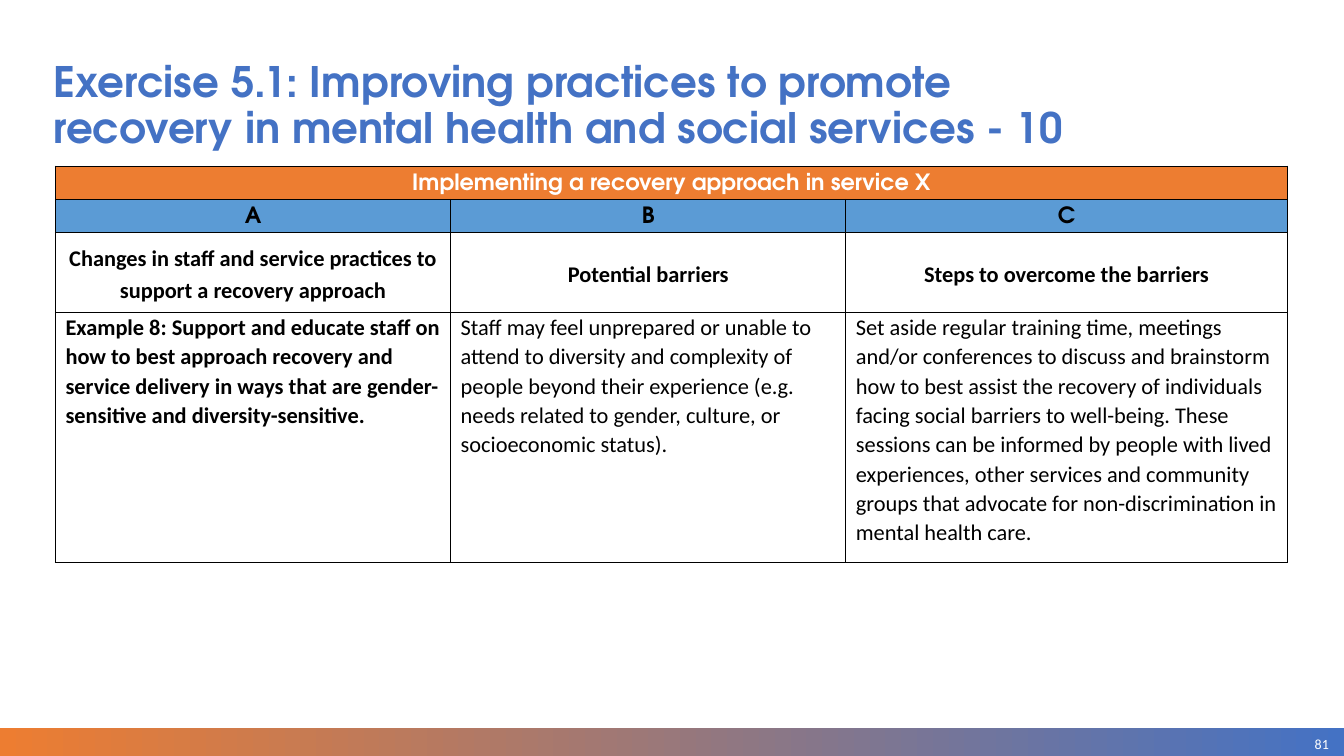
import pptx
import pptx.dml.color
import pptx.enum.shapes
import pptx.enum.text
import pptx.oxml
import pptx.oxml.ns
import pptx.util
from pptx.util import Inches


class Theme:
    orange = "ED7D31"
    blue = "4472C4"
    light_blue = "5B9BD5"
    white = "FFFFFF"
    black = "000000"
    heading_font = "TeX Gyre Adventor"
    body_font = "Calibri"
    title_size = 30
    table_size = 16
    number_size = 10


Align = pptx.enum.text.PP_ALIGN
Anchor = pptx.enum.text.MSO_ANCHOR


def rgb(value):
    return pptx.dml.color.RGBColor.from_string(value)


def write_text(frame, text, size=Theme.table_size, font=Theme.body_font, color=Theme.black,
               bold=False, align=Align.LEFT, spacing=1.0):
    frame.word_wrap = True
    paragraph = frame.paragraphs[0]
    paragraph.alignment = align
    paragraph.line_spacing = spacing
    paragraph.space_before = pptx.util.Pt(0)
    run = paragraph.add_run()
    run.text = text
    run.font.size = pptx.util.Pt(size)
    run.font.name = font
    run.font.bold = bold
    run.font.color.rgb = rgb(color)


presentation = pptx.Presentation()
presentation.slide_width = Inches(13.33)
presentation.slide_height = Inches(7.5)
slide = presentation.slides.add_slide(presentation.slide_layouts[5])

# Footer band
band = slide.shapes.add_shape(pptx.enum.shapes.MSO_SHAPE.RECTANGLE,
                              Inches(0), Inches(7.22), Inches(13.33), Inches(0.28))
band.shadow.inherit = False
band.line.fill.background()
band.fill.gradient()
band.fill.gradient_angle = 0
for stop, position, color in zip(band.fill.gradient_stops, (0, 1), (Theme.orange, Theme.blue)):
    stop.position = position
    stop.color.rgb = rgb(color)

# Slide number
number = slide.shapes.add_textbox(Inches(11.38), Inches(7.26), Inches(1.8), Inches(0.24))
frame = number.text_frame
frame.margin_left = frame.margin_right = frame.margin_top = frame.margin_bottom = Inches(0)
frame.vertical_anchor = Anchor.MIDDLE
write_text(frame, "81", size=Theme.number_size, color=Theme.white, align=Align.RIGHT)

# Title
title = slide.shapes.title
title.left, title.top = Inches(0.43), Inches(0.56)
title.width, title.height = Inches(10.71), Inches(0.47)
title.text_frame.auto_size = pptx.enum.text.MSO_AUTO_SIZE.NONE
title.text_frame.vertical_anchor = Anchor.TOP
write_text(title.text_frame,
           "Exercise 5.1: Improving practices to promote recovery in mental health "
           "and social services - 10",
           size=Theme.title_size, font=Theme.heading_font, color=Theme.blue, bold=True, spacing=0.9)

# Table content, with one format per row
rows = [
    ["Implementing a recovery approach in service X", "", ""],
    ["A", "B", "C"],
    ["Changes in staff and service practices to support a recovery approach",
     "Potential barriers", "Steps to overcome the barriers"],
    ["Example 8: Support and educate staff on how to best approach recovery and service "
     "delivery in ways that are gender-sensitive and diversity-sensitive.",
     "Staff may feel unprepared or unable to attend to diversity and complexity of people "
     "beyond their experience (e.g. needs related to gender, culture, or socioeconomic status).",
     "Set aside regular training time, meetings and/or conferences to discuss and brainstorm "
     "how to best assist the recovery of individuals facing social barriers to well-being. "
     "These sessions can be informed by people with lived experiences, other services and "
     "community groups that advocate for non-discrimination in mental health care."],
]
row_heights = [0.33, 0.33, 0.79, 2.48]
row_fills = [Theme.orange, Theme.light_blue, Theme.white, Theme.white]
row_colors = [Theme.white, Theme.black, Theme.black, Theme.black]
row_fonts = [Theme.heading_font] * 2 + [Theme.body_font] * 2
column_widths = [3.92, 3.92, 4.38]

# Table
table = slide.shapes.add_table(len(rows), len(column_widths), Inches(0.55), Inches(1.65),
                               Inches(12.22), Inches(3.93)).table
table.first_row = False
table.horz_banding = False
for column, width in zip(table.columns, column_widths):
    column.width = Inches(width)
for row, height in zip(table.rows, row_heights):
    row.height = Inches(height)
table.cell(0, 0).merge(table.cell(0, 2))

for row_index, texts in enumerate(rows):
    is_header = row_index < 3
    for column_index, text in enumerate(texts):
        cell = table.cell(row_index, column_index)
        cell.margin_left = cell.margin_right = Inches(0.1)
        cell.margin_top = cell.margin_bottom = Inches(0)
        cell.vertical_anchor = Anchor.MIDDLE if is_header else Anchor.TOP

        # Borders come before the fill in the cell properties
        properties = cell._tc.get_or_add_tcPr()
        for side in ("lnL", "lnR", "lnT", "lnB"):
            properties.append(pptx.oxml.parse_xml(
                f'<a:{side} {pptx.oxml.ns.nsdecls("a")} w="12700"><a:solidFill>'
                f'<a:srgbClr val="{Theme.black}"/></a:solidFill></a:{side}>'))
        cell.fill.solid()
        cell.fill.fore_color.rgb = rgb(row_fills[row_index])

        if text:
            write_text(cell.text_frame, text, font=row_fonts[row_index],
                       color=row_colors[row_index], bold=is_header or column_index == 0,
                       align=Align.CENTER if is_header else Align.LEFT,
                       spacing=1.15 if is_header else 1.07)

presentation.save("out.pptx")
